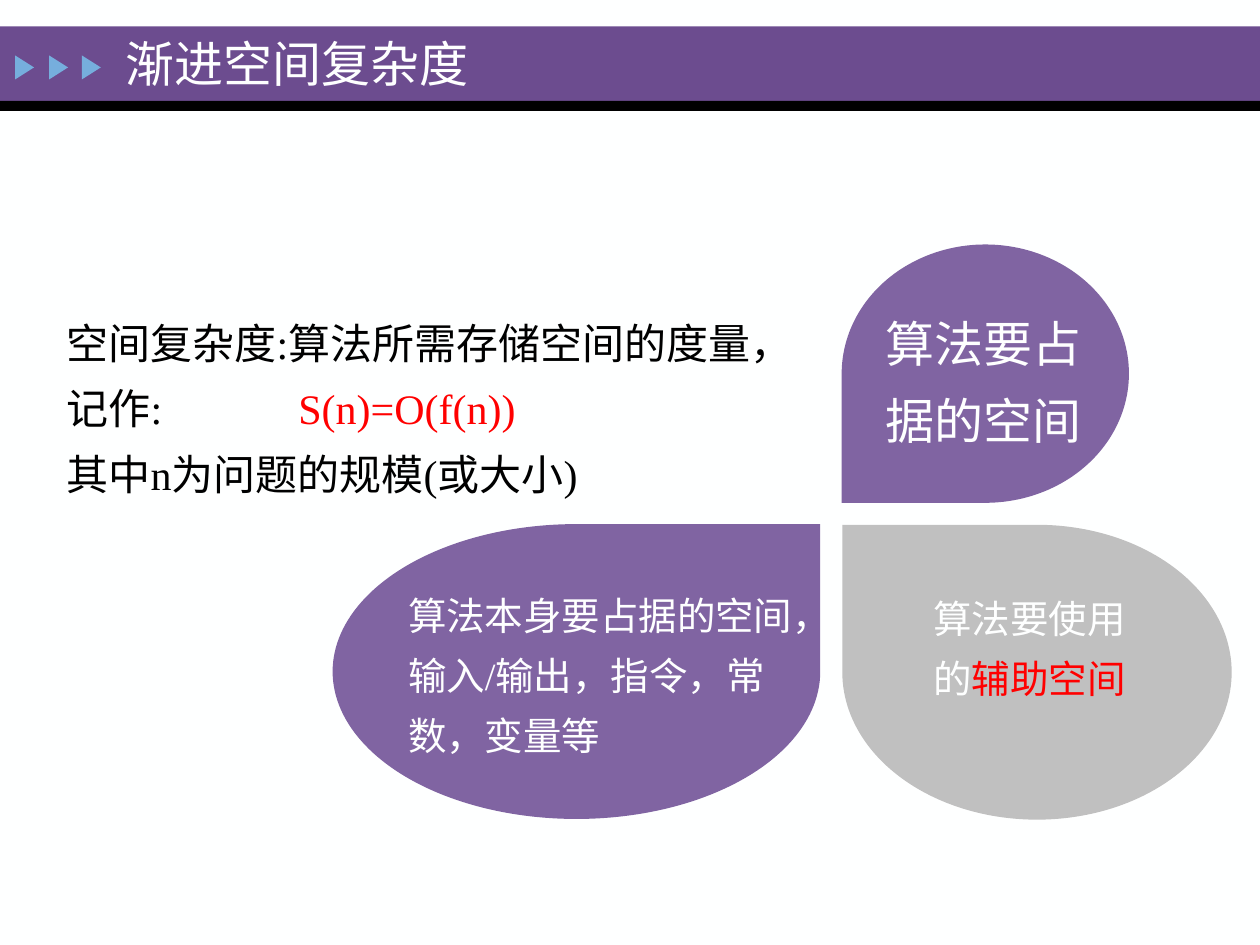
from lxml import etree
from pptx import Presentation
from pptx.dml.color import RGBColor
from pptx.enum import shapes, text
from pptx.oxml import ns
from pptx.util import Inches, Pt

PAPER = RGBColor(0xFE, 0xFF, 0xFF)
INK = RGBColor(0x00, 0x00, 0x00)
BANNER = RGBColor(0x6C, 0x4C, 0x8F)
ARROW = RGBColor(0x76, 0xAE, 0xDD)
PETAL = RGBColor(0x80, 0x64, 0xA2)
MUTED = RGBColor(0xC0, 0xC0, 0xC0)
ACCENT = RGBColor(0xFF, 0x00, 0x00)


class SlideBuilder:
    """Holds the slide and its typeface, and draws each kind of element."""

    def __init__(self, slide, typeface):
        self.slide = slide
        self.typeface = typeface
        slide.background.fill.solid()
        slide.background.fill.fore_color.rgb = PAPER

    def shape(self, kind, left, top, width, height, color, rotation=0):
        figure = self.slide.shapes.add_shape(
            kind, Inches(left), Inches(top), Inches(width), Inches(height))
        figure.rotation = rotation
        figure.shadow.inherit = False
        figure.fill.solid()
        figure.fill.fore_color.rgb = color
        figure.line.fill.background()

    def text(self, left, top, width, height, size, paragraphs,
             spacing=1.3, indent=0, tab=None):
        box = self.slide.shapes.add_textbox(
            Inches(left), Inches(top), Inches(width), Inches(height))
        frame = box.text_frame
        frame.word_wrap = True
        frame.vertical_anchor = text.MSO_ANCHOR.TOP
        for index, runs in enumerate(paragraphs):
            paragraph = frame.paragraphs[0] if index == 0 else frame.add_paragraph()
            self.layout(paragraph, indent, tab)
            paragraph.line_spacing = spacing
            for words, color in runs:
                run = paragraph.add_run()
                run.text = words
                run.font.size = Pt(size)
                run.font.name = self.typeface
                run.font.color.rgb = color

    def layout(self, paragraph, indent, tab):
        properties = paragraph._p.get_or_add_pPr()
        if indent:
            properties.set("marL", str(Inches(indent)))
            properties.set("indent", "0")
        if tab:
            stops = etree.SubElement(properties, ns.qn("a:tabLst"))
            etree.SubElement(stops, ns.qn("a:tab"), pos=str(Inches(tab)), algn="l")


def main():
    deck = Presentation()
    deck.slide_width, deck.slide_height = Inches(10), Inches(7.5)
    page = SlideBuilder(deck.slides.add_slide(deck.slide_layouts[6]), "Times New Roman")
    kinds = shapes.MSO_SHAPE

    page.shape(kinds.RECTANGLE, 0, 0.21, 10, 0.59, BANNER)
    page.shape(kinds.RECTANGLE, 0, 0.8, 10, 0.08, INK)
    for left in (0.1, 0.37, 0.63):
        page.shape(kinds.ISOSCELES_TRIANGLE, left, 0.46, 0.19, 0.15, ARROW, 90)
    page.text(0.9, 0.22, 4.73, 0.55, 28, [[("渐进空间复杂度", PAPER)]], spacing=1)

    page.text(0.43, 2.35, 5.72, 1.54, 24, [
        [("空间复杂度:算法所需存储空间的度量，记作:", INK), ("\tS(n)=O(f(n))", ACCENT)],
        [("其中n为问题的规模(或大小)", INK)],
    ], tab=1.84)

    page.shape(kinds.TEAR, 6.68, 1.94, 2.28, 2.05, PETAL, 180)
    page.shape(kinds.TEAR, 7.06, 3.79, 2.34, 3.09, MUTED, 270)
    page.shape(kinds.TEAR, 2.64, 4.16, 3.87, 2.34, PETAL)

    page.text(6.93, 2.3, 1.93, 1.33, 28, [[("算法要占据的空间", PAPER)]])
    page.text(2.64, 4.54, 3.79, 1.55, 22,
              [[("算法本身要占据的空间，输入/输出，指令，常数，变量等", PAPER)]], indent=0.5)
    page.text(6.81, 4.56, 2.52, 1.02, 22,
              [[("算法要使用的", PAPER), ("辅助空间", ACCENT)]], indent=0.5)

    deck.save("out.pptx")


if __name__ == "__main__":
    main()
